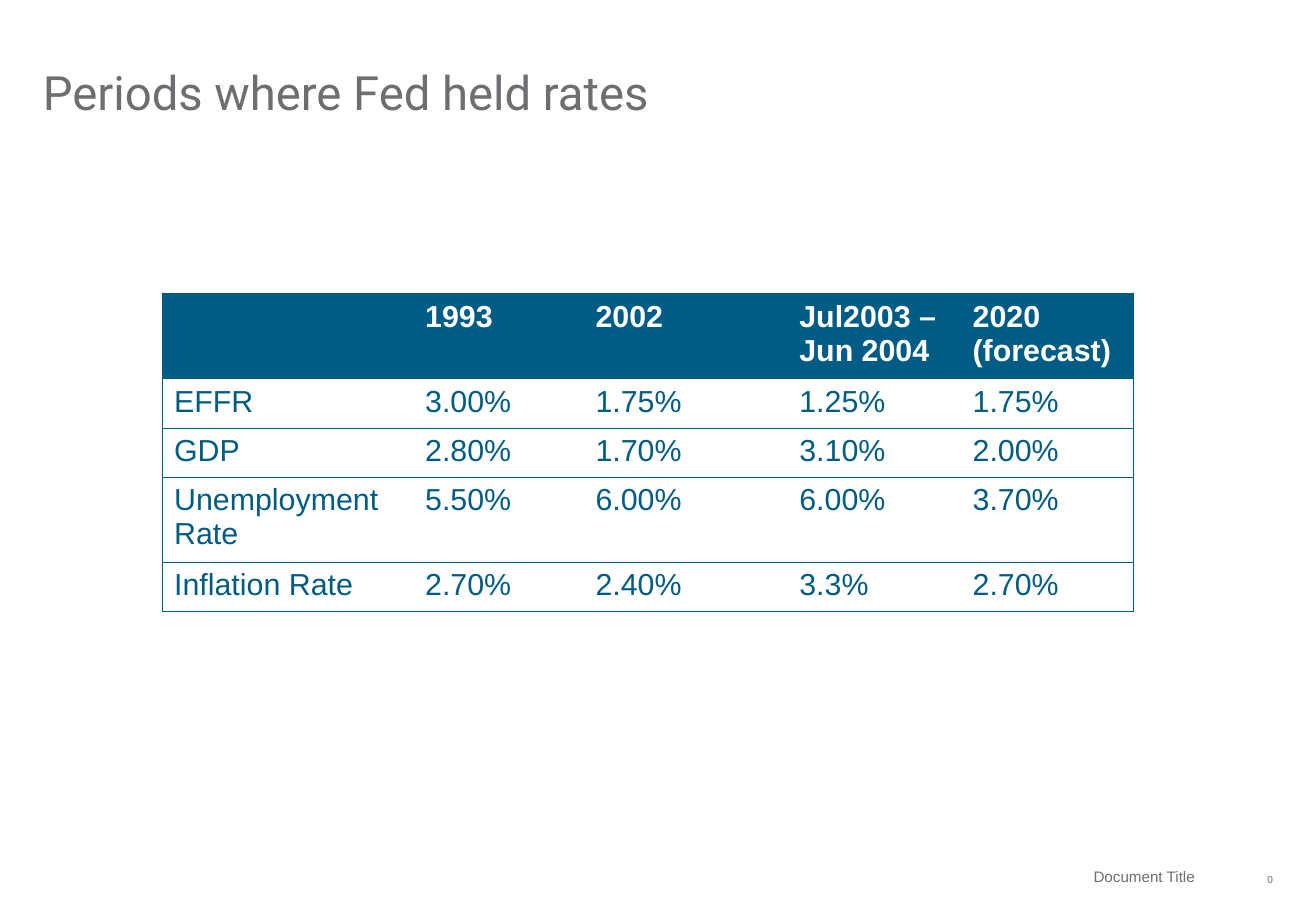
from lxml import etree
from pptx import Presentation
from pptx.dml.color import RGBColor
from pptx.enum.text import MSO_ANCHOR, PP_ALIGN
from pptx.oxml.ns import qn
from pptx.util import Pt

LEFT, RIGHT = PP_ALIGN.LEFT, PP_ALIGN.RIGHT
MIDDLE, BOTTOM = MSO_ANCHOR.MIDDLE, MSO_ANCHOR.BOTTOM

BLUE, GREY, WHITE = "005C84", "6D6E71", "FFFFFF"
COLUMN_WIDTHS = [148.8, 101, 120.8, 102.7, 102.7]
ROW_HEIGHT = 29.25
RATES = [
    ["", "1993", "2002", "Jul2003 – Jun 2004", "2020\n(forecast)"],
    ["EFFR", "3.00%", "1.75%", "1.25%", "1.75%"],
    ["GDP", "2.80%", "1.70%", "3.10%", "2.00%"],
    ["Unemployment Rate", "5.50%", "6.00%", "6.00%", "3.70%"],
    ["Inflation Rate", "2.70%", "2.40%", "3.3%", "2.70%"],
]


def colour(hex_string):
    return RGBColor.from_string(hex_string)


def format_runs(frame, font_name, size, hex_string, bold=False):
    for paragraph in frame.paragraphs:
        for run in paragraph.runs:
            run.font.name = font_name
            run.font.size = Pt(size)
            run.font.bold = bold
            run.font.color.rgb = colour(hex_string)


def add_label(slide, box, text, font_name, size, align, anchor, right_inset=0):
    frame = slide.shapes.add_textbox(*map(Pt, box)).text_frame
    frame.word_wrap = True
    frame.vertical_anchor = anchor
    frame.margin_left = frame.margin_top = frame.margin_bottom = 0
    frame.margin_right = Pt(right_inset)
    frame.text = text
    frame.paragraphs[0].alignment = align
    format_runs(frame, font_name, size, GREY)
    return frame


def add_title(slide, box):
    title = add_label(slide, box, "Periods where Fed held rates", "Roboto", 28, LEFT, BOTTOM)
    title.paragraphs[0].line_spacing = 0.9


def add_footer(slide, box):
    left, top, width, height = box
    number_width = 28
    document_width = width - number_width - 7.5
    add_label(slide, (left, top, document_width, height),
              "Document Title", "Arial", 9, RIGHT, MIDDLE, 10.8)
    add_label(slide, (left + width - number_width, top + 2, number_width, height),
              "0", "Arial", 6, RIGHT, MIDDLE)


def set_borders(cell, sides):
    properties = cell._tc.get_or_add_tcPr()
    for position, side in enumerate("LRTB"):
        line = etree.Element(qn(f"a:ln{side}"), w=str(Pt(0.5)))
        if side in sides:
            fill = etree.SubElement(line, qn("a:solidFill"))
            etree.SubElement(fill, qn("a:srgbClr"), val=BLUE)
        else:
            etree.SubElement(line, qn("a:noFill"))
        properties.insert(position, line)


def add_rates_table(slide, box):
    table = slide.shapes.add_table(len(RATES), len(COLUMN_WIDTHS), *map(Pt, box)).table
    for column, width in zip(table.columns, COLUMN_WIDTHS):
        column.width = Pt(width)
    last = len(COLUMN_WIDTHS) - 1
    for row_index, values in enumerate(RATES):
        table.rows[row_index].height = Pt(ROW_HEIGHT)
        header = row_index == 0
        for column_index, value in enumerate(values):
            cell = table.cell(row_index, column_index)
            cell.text_frame.text = value
            format_runs(cell.text_frame, "Arial", 18, WHITE if header else BLUE, header)
            if header:
                cell.fill.solid()
                cell.fill.fore_color.rgb = colour(BLUE)
            else:
                cell.fill.background()
            sides = "TB" + "L" * (column_index == 0) + "R" * (column_index == last)
            set_borders(cell, sides)


def main():
    deck = Presentation()
    deck.slide_width, deck.slide_height = Pt(780), Pt(540)
    slide = deck.slides.add_slide(deck.slide_layouts[6])
    add_footer(slide, (445.5, 508.5, 309, 22))
    add_title(slide, (25.5, 16, 729, 55.5))
    add_rates_table(slide, (96, 174, sum(COLUMN_WIDTHS), ROW_HEIGHT * len(RATES)))
    deck.save("out.pptx")


if __name__ == "__main__":
    main()
